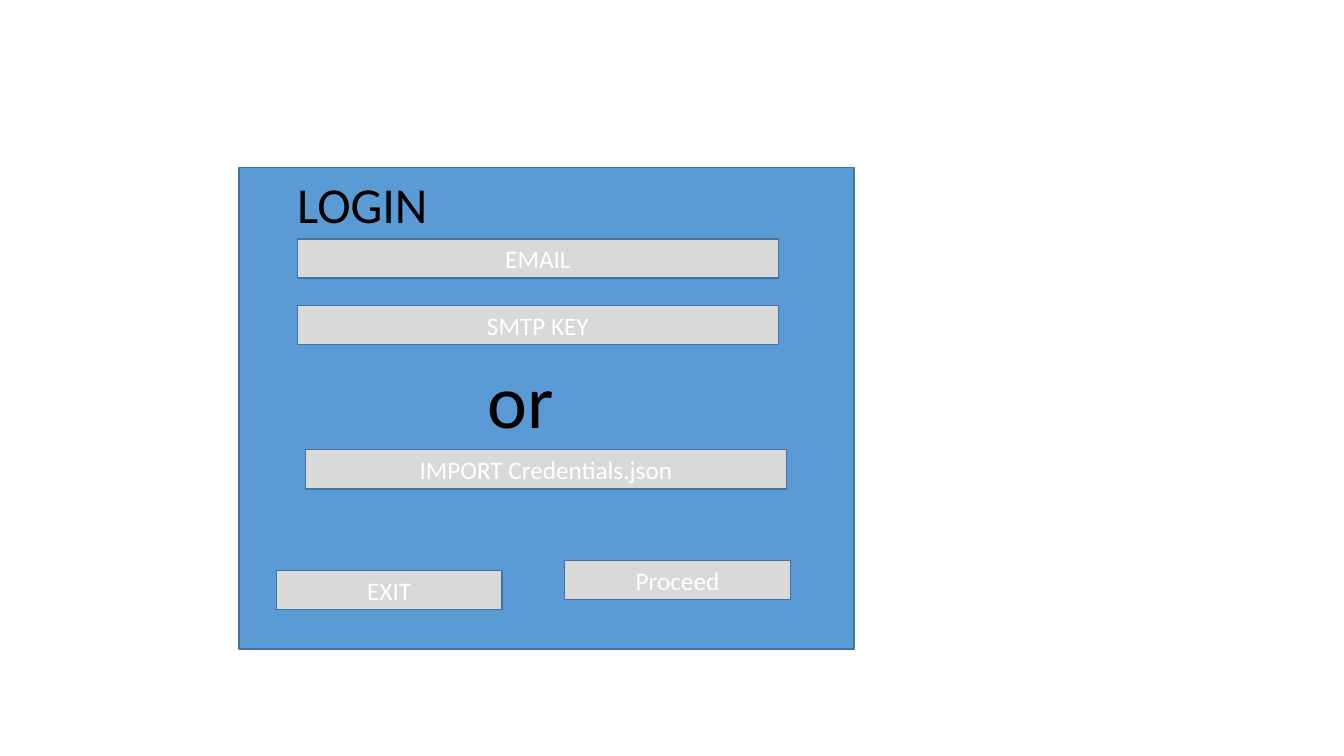
from pptx import Presentation
from pptx.dml.color import RGBColor
from pptx.enum import shapes, text
from pptx.util import Inches, Pt

HUES = {"panel": "5B9BD5", "field": "D9D9D9", "edge": "43739E",
        "light": "FFFFFF", "dark": "000000"}


def write(shape, words, size, hue, anchor):
    frame = shape.text_frame
    frame.text = words
    frame.vertical_anchor = anchor
    para = frame.paragraphs[0]
    para.alignment = text.PP_ALIGN.CENTER
    para.font.name = "Calibri"
    para.font.size = Pt(size)
    para.font.color.rgb = RGBColor.from_string(HUES[hue])


def add_box(left, top, width, height, fill):
    box = slide.shapes.add_shape(shapes.MSO_SHAPE.RECTANGLE, Inches(left),
                                 Inches(top), Inches(width), Inches(height))
    box.shadow.inherit = False
    box.fill.solid()
    box.fill.fore_color.rgb = RGBColor.from_string(HUES[fill])
    box.line.color.rgb = RGBColor.from_string(HUES["edge"])
    box.line.width = Pt(1)
    return box


deck = Presentation()
deck.slide_width = Inches(13.33)
deck.slide_height = Inches(7.5)
slide = deck.slides.add_slide(deck.slide_layouts[5])

add_box(2.37, 1.66, 6.1, 4.78, "panel")

fields = [
    ("EMAIL", 2.95, 2.37, 4.77),
    ("SMTP KEY", 2.95, 3.03, 4.77),
    ("IMPORT Credentials.json", 3.03, 4.46, 4.77),
    ("Proceed", 5.6, 5.56, 2.24),
    ("EXIT", 2.74, 5.66, 2.24),
]
for words, left, top, width in fields:
    field = add_box(left, top, width, 0.39, "field")
    write(field, words, 18, "light", text.MSO_ANCHOR.MIDDLE)

title = slide.shapes.title
title.left, title.top = Inches(2.84), Inches(1.67)
title.width, title.height = Inches(1.51), Inches(0.71)
slide.shapes.element.append(title.element)

label = slide.shapes.add_textbox(Inches(4.73), Inches(3.45),
                                 Inches(0.87), Inches(1.01))

for shape, words, size in [(title, "LOGIN", 36), (label, "or", 54)]:
    write(shape, words, size, "dark", text.MSO_ANCHOR.TOP)
    shape.text_frame.word_wrap = False
    shape.text_frame.auto_size = text.MSO_AUTO_SIZE.SHAPE_TO_FIT_TEXT

deck.save("out.pptx")
